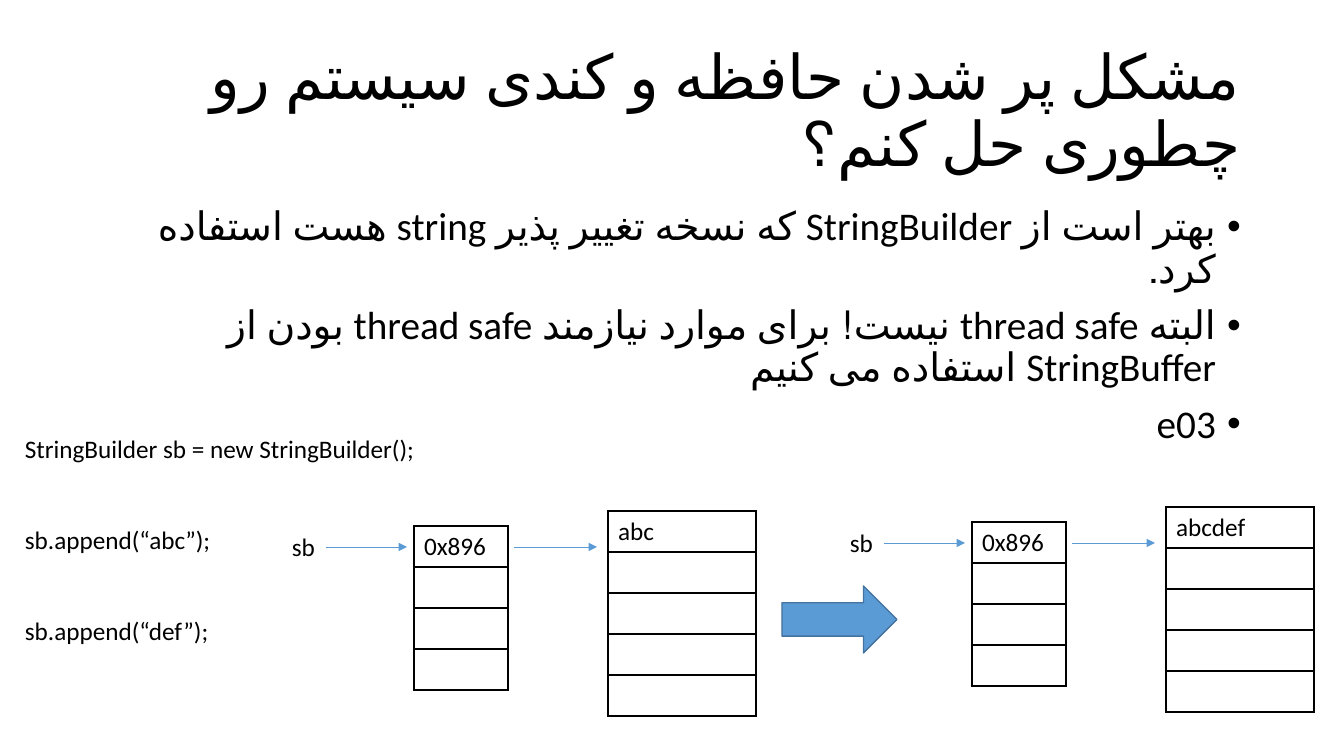
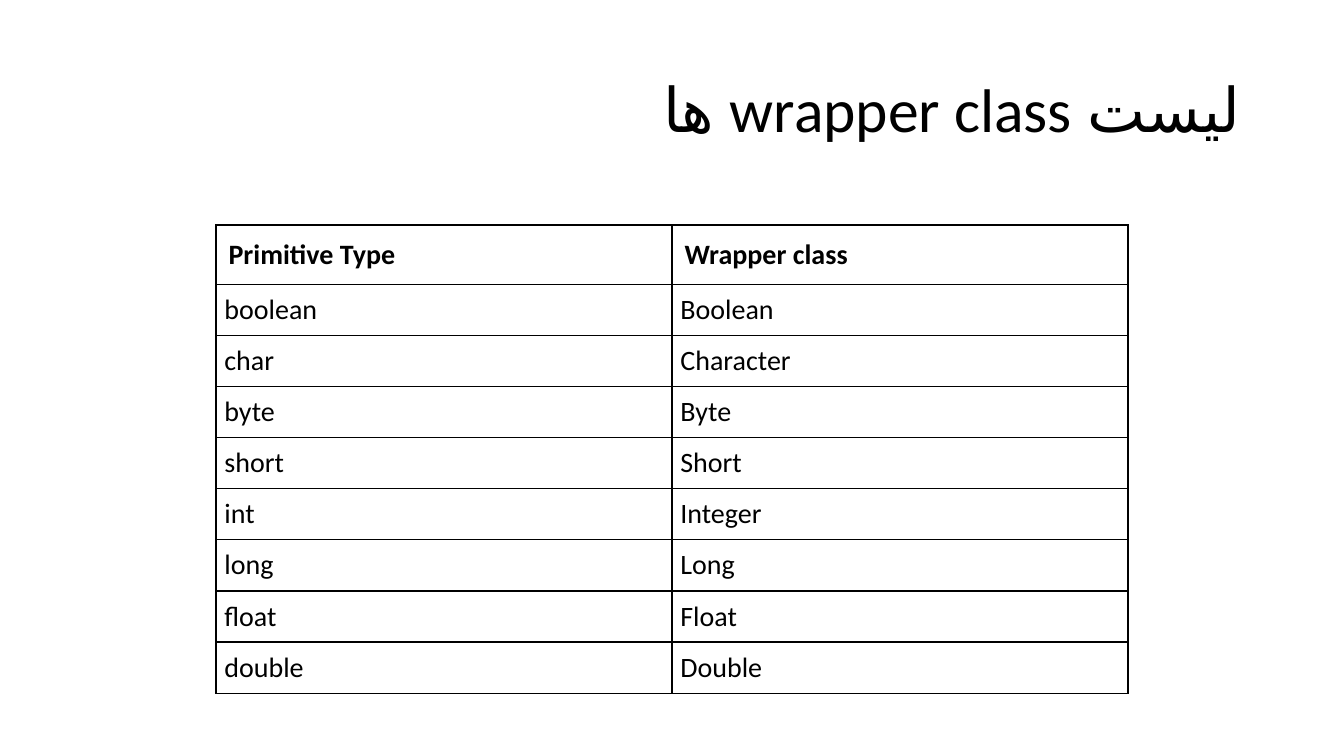
from pptx import Presentation
from pptx.dml.color import RGBColor
from pptx.enum.lang import MSO_LANGUAGE_ID as Language
from pptx.enum.shapes import MSO_CONNECTOR as Connector, MSO_SHAPE as Shape
from pptx.enum.text import MSO_ANCHOR as Anchor, MSO_AUTO_SIZE as AutoSize, PP_ALIGN as Align
from pptx.oxml.ns import qn
from pptx.util import Pt
from lxml.etree import SubElement

COLORS = {"text": "000000", "accent": "5B9BD5", "outline": "43739E"}
FONT = "Calibri"
PIXEL = 914400 / 100.8
SLIDE_SIZE = (1344, 756)
TITLE_AREA = (92, 40, 1159, 146)
BODY_AREA = (92, 202, 1159, 480)
BULLET_INDENT = 25
CELL_INSETS = (7.2, 3.6)


def px(length):
    return round(length * PIXEL)


def color(name):
    return RGBColor.from_string(COLORS[name])


class SlideBuilder:
    def __init__(self):
        self.deck = Presentation()
        self.deck.slide_width, self.deck.slide_height = map(px, SLIDE_SIZE)
        self.page = None

    def start(self, layout, title):
        self.page = self.deck.slides.add_slide(self.deck.slide_layouts.get_by_name(layout))
        self.fill_placeholder(self.page.shapes.title, TITLE_AREA, [title], 44, Anchor.MIDDLE)

    def style(self, para, size, bold=False):
        para.font.name = FONT
        para.font.size = Pt(size)
        para.font.bold = bold
        para.font.color.rgb = color("text")

    def fill_placeholder(self, box, area, lines, size, anchor):
        box.left, box.top, box.width, box.height = map(px, area)
        frame = box.text_frame
        frame.text = "\n".join(lines)
        frame.word_wrap = True
        frame.auto_size = AutoSize.NONE
        frame.vertical_anchor = anchor
        for para in frame.paragraphs:
            self.style(para, size)
            para.alignment = Align.RIGHT
            para.line_spacing = 0.9
            para._p.get_or_add_pPr().set("rtl", "1")
            for span in para.runs:
                span.font.language_id = Language.FARSI
        return frame

    def bullets(self, lines):
        body = self.page.placeholders[1]
        frame = self.fill_placeholder(body, BODY_AREA, lines, 28, Anchor.TOP)
        for para in frame.paragraphs:
            para.space_before = Pt(10)
            properties = para._p.get_or_add_pPr()
            properties.set("marL", str(px(BULLET_INDENT)))
            properties.set("indent", str(-px(BULLET_INDENT)))

    def text(self, area, lines, gap=0):
        frame = self.page.shapes.add_textbox(*map(px, area)).text_frame
        frame.text = "\n".join(lines)
        frame.word_wrap = False
        frame.auto_size = AutoSize.SHAPE_TO_FIT_TEXT
        for index, para in enumerate(frame.paragraphs):
            self.style(para, 18)
            para.space_before = Pt(gap if index else 0)

    def border(self, cell):
        properties = cell._tc.get_or_add_tcPr()
        for side in ("a:lnL", "a:lnR", "a:lnT", "a:lnB"):
            edge = SubElement(properties, qn(side), w=str(Pt(1)))
            fill = SubElement(edge, qn("a:solidFill"))
            SubElement(fill, qn("a:srgbClr"), val=COLORS["text"])

    def table(self, left, top, column_width, heights, rows, size=18):
        columns = len(rows[0])
        area = (left, top, column_width * columns, sum(heights))
        table = self.page.shapes.add_table(len(rows), columns, *map(px, area)).table
        table.first_row = False
        table.horz_banding = False
        for column in table.columns:
            column.width = px(column_width)
        for row, height, values in zip(table.rows, heights, rows):
            row.height = px(height)
            for cell, value in zip(row.cells, values):
                cell.text = value
                self.style(cell.text_frame.paragraphs[0], size)
                self.inset(cell, *CELL_INSETS)
                self.border(cell)
                cell.fill.background()
        return table

    def inset(self, cell, side, edge):
        cell.margin_left = cell.margin_right = Pt(side)
        cell.margin_top = cell.margin_bottom = Pt(edge)

    def arrow(self, left, right, y):
        points = map(px, (left, y, right, y))
        line = self.page.shapes.add_connector(Connector.STRAIGHT, *points)
        line.line.color.rgb = color("accent")
        line.line.width = Pt(0.5)
        SubElement(line.line._get_or_add_ln(), qn("a:tailEnd"), type="triangle")
        SubElement(line._element.spPr, qn("a:effectLst"))

    def block_arrow(self, area):
        shape = self.page.shapes.add_shape(Shape.RIGHT_ARROW, *map(px, area))
        shape.shadow.inherit = False
        shape.fill.solid()
        shape.fill.fore_color.rgb = color("accent")
        shape.line.color.rgb = color("outline")
        shape.line.width = Pt(1)

    def memory(self, left, top, value):
        self.column(left + 132, top, 94, 4, "0x896")
        self.text((left, top, 43, 40), ["sb"])
        self.arrow(left + 44, left + 125, top + 21)
        self.arrow(left + 232, left + 315, top + 21)
        self.column(left + 326, top - 15, 148, 5, value)

    def column(self, left, top, width, count, value):
        rows = [[value]] + [[""]] * (count - 1)
        self.table(left, top, width, [41] * count, rows)


def string_builder_slide(builder):
    builder.start("Title and Content", "مشکل پر شدن حافظه و کندی سیستم رو چطوری حل کنم؟")
    builder.bullets([
        "بهتر است از StringBuilder که نسخه تغییر پذیر string هست استفاده کرد.",
        "البته thread safe نیست! برای موارد نیازمند thread safe بودن از StringBuffer استفاده می کنیم",
        "e03",
    ])
    code = ["StringBuilder sb = new StringBuilder();", "sb.append(“abc”);", "sb.append(“def”);"]
    builder.text((15, 428, 414, 224), code, gap=43.5)
    builder.memory(282, 526, "abc")
    builder.memory(840, 522, "abcdef")
    builder.block_arrow((782, 586, 115, 67))


def wrapper_slide(builder):
    builder.start("Title Only", "لیست wrapper class ها")
    wrappers = {
        "boolean": "Boolean",
        "char": "Character",
        "byte": "Byte",
        "short": "Short",
        "int": "Integer",
        "long": "Long",
        "float": "Float",
        "double": "Double",
    }
    rows = [("Primitive Type", "Wrapper class"), *wrappers.items()]
    heights = [59] + [51] * len(wrappers)
    table = builder.table(216, 225, 456, heights, rows, size=20)
    for index, row in enumerate(table.rows):
        for cell in row.cells:
            para = cell.text_frame.paragraphs[0]
            para.font.bold = index == 0
            para.alignment = Align.JUSTIFY if index else Align.LEFT
            padding = 6 if index else 9
            builder.inset(cell, padding, padding)


builder = SlideBuilder()
string_builder_slide(builder)
wrapper_slide(builder)
builder.deck.save("out.pptx")
